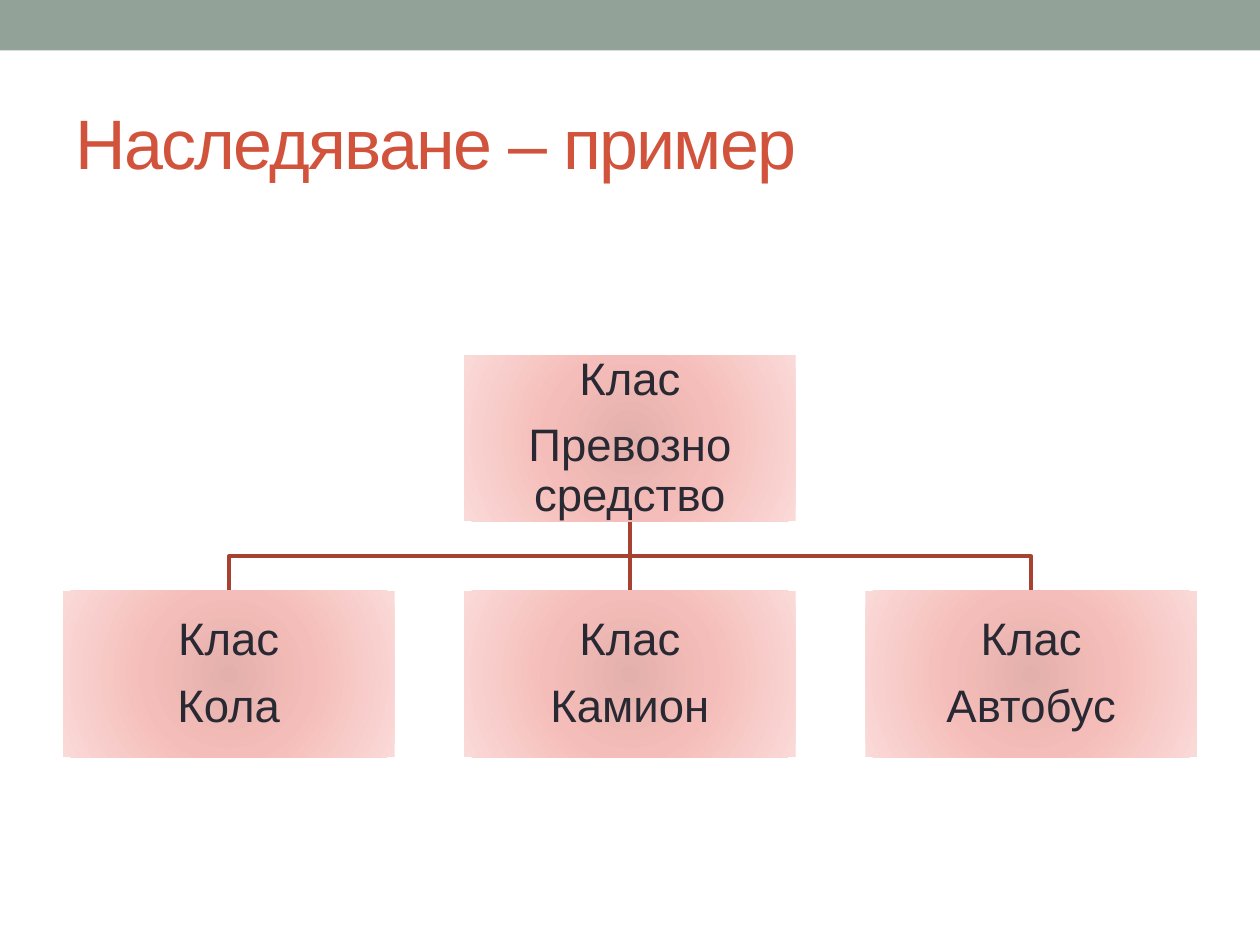
from dataclasses import dataclass
from typing import Any

import pptx
import pptx.dml.color
import pptx.enum.shapes
import pptx.enum.text
import pptx.oxml
import pptx.oxml.ns
import pptx.util
from lxml import etree

Pt = pptx.util.Pt
BOX_WIDTH, BOX_HEIGHT = 189.5, 95
LEFT, RIGHT = 36, 684
PARENT_TOP, CHILD_TOP = 203, 337.7
COLUMN_STEP = (RIGHT - LEFT - BOX_WIDTH) / 2
LINE_COLOR, LINE_WIDTH = "A84230", 2.08
GRADIENT_STOPS = ((0, "E3B0AB"), (45, "F5BDB9"), (100, "FADAD8"))
TITLE_FONT = {"name": "Arial", "size": Pt(40)}
BOX_FONT = {"name": "Arial", "size": Pt(26)}
BOX_PARAGRAPH = {
    "alignment": pptx.enum.text.PP_ALIGN.CENTER,
    "line_spacing": 0.9,
    "space_after": Pt(10.2),
}
BOX_FRAME = {
    "word_wrap": True,
    "vertical_anchor": pptx.enum.text.MSO_ANCHOR.MIDDLE,
    **{f"margin_{side}": Pt(1.3) for side in ("left", "top", "right", "bottom")},
}


@dataclass(frozen=True)
class ClassBox:
    """A class in the hierarchy, placed by column and top edge."""

    name: str
    column: int
    top: float

    @property
    def left(self) -> float:
        """Left edge in points."""
        return LEFT + self.column * COLUMN_STEP

    @property
    def center(self) -> float:
        """Horizontal centre in points."""
        return self.left + BOX_WIDTH / 2


PARENT = ClassBox("Превозно средство", 1, PARENT_TOP)
CHILDREN = [
    ClassBox(name, column, CHILD_TOP)
    for column, name in enumerate(("Кола", "Камион", "Автобус"))
]


def color(value: str) -> pptx.dml.color.RGBColor:
    """Turn a hex string into a colour."""
    return pptx.dml.color.RGBColor.from_string(value)


def apply_format(target: Any, values: dict[str, Any]) -> None:
    """Set every attribute of a format dict."""
    for name, value in values.items():
        setattr(target, name, value)


def add_rectangle(slide: Any, left: float, top: float, width: float, height: float) -> Any:
    """Add a rectangle without shadow or outline."""
    shape = slide.shapes.add_shape(
        pptx.enum.shapes.MSO_SHAPE.RECTANGLE, Pt(left), Pt(top), Pt(width), Pt(height)
    )
    shape.shadow.inherit = False
    shape.line.fill.background()
    return shape


def fill_radial(shape: Any) -> None:
    """Give a shape the circular gradient."""
    shape.fill.gradient()
    properties = shape.element.spPr
    stops = "".join(
        f'<a:gs pos="{position * 1000}"><a:srgbClr val="{value}"/></a:gs>'
        for position, value in GRADIENT_STOPS
    )
    gradient = pptx.oxml.parse_xml(
        f'<a:gradFill {pptx.oxml.ns.nsdecls("a")} rotWithShape="1">'
        f'<a:gsLst>{stops}</a:gsLst><a:path path="circle">'
        '<a:fillToRect l="100000" t="100000" r="100000" b="100000"/>'
        "</a:path></a:gradFill>"
    )
    properties.replace(properties.find(pptx.oxml.ns.qn("a:gradFill")), gradient)


def add_class_box(slide: Any, box: ClassBox) -> None:
    """Draw one class with its two paragraphs."""
    shape = add_rectangle(slide, box.left, box.top, BOX_WIDTH, BOX_HEIGHT)
    fill_radial(shape)
    frame = shape.text_frame
    apply_format(frame, BOX_FRAME)
    frame.text = f"Клас\n{box.name}"
    for paragraph in frame.paragraphs:
        apply_format(paragraph, BOX_PARAGRAPH)
        font = paragraph.runs[0].font
        apply_format(font, BOX_FONT)
        font.color.rgb = color("292934")


def add_link(slide: Any, parent: ClassBox, child: ClassBox) -> None:
    """Join parent to child, straight or with two bends."""
    start = parent.top + BOX_HEIGHT
    middle = (start + child.top) / 2
    if parent.column == child.column:
        link = slide.shapes.add_connector(
            pptx.enum.shapes.MSO_CONNECTOR.STRAIGHT,
            Pt(parent.center), Pt(start), Pt(child.center), Pt(child.top),
        )
        etree.SubElement(link.element.spPr, pptx.oxml.ns.qn("a:effectLst"))
    else:
        builder = slide.shapes.build_freeform(Pt(parent.center), Pt(start))
        bends = [(parent.center, middle), (child.center, middle), (child.center, child.top)]
        builder.add_line_segments([(Pt(x), Pt(y)) for x, y in bends], close=False)
        link = builder.convert_to_shape()
        link.fill.background()
        link.shadow.inherit = False
    link.line.color.rgb = color(LINE_COLOR)
    link.line.width = Pt(LINE_WIDTH)


def add_title(slide: Any, text: str) -> None:
    """Place and format the title placeholder."""
    title = slide.shapes.title
    apply_format(title, {"left": Pt(36), "top": Pt(41.8), "width": Pt(675.4), "height": Pt(77.8)})
    frame = title.text_frame
    frame.text = text
    frame.vertical_anchor = pptx.enum.text.MSO_ANCHOR.MIDDLE
    paragraph = frame.paragraphs[0]
    paragraph.alignment = pptx.enum.text.PP_ALIGN.LEFT
    font = paragraph.runs[0].font
    apply_format(font, TITLE_FONT)
    font.color.rgb = color("D2533C")
    paragraph.runs[0].font._element.set("spc", "-100")


def main() -> None:
    """Build and save the slide."""
    presentation = pptx.Presentation()
    apply_format(presentation, {"slide_width": Pt(720), "slide_height": Pt(540)})
    slide = presentation.slides.add_slide(presentation.slide_layouts.get_by_name("Title Only"))
    band = add_rectangle(slide, 0, 0, 720, 28.8)
    band.fill.solid()
    band.fill.fore_color.rgb = color("93A299")
    add_title(slide, "Наследяване – пример")
    for child in CHILDREN:
        add_link(slide, PARENT, child)
    for box in (PARENT, *CHILDREN):
        add_class_box(slide, box)
    presentation.save("out.pptx")


main()
